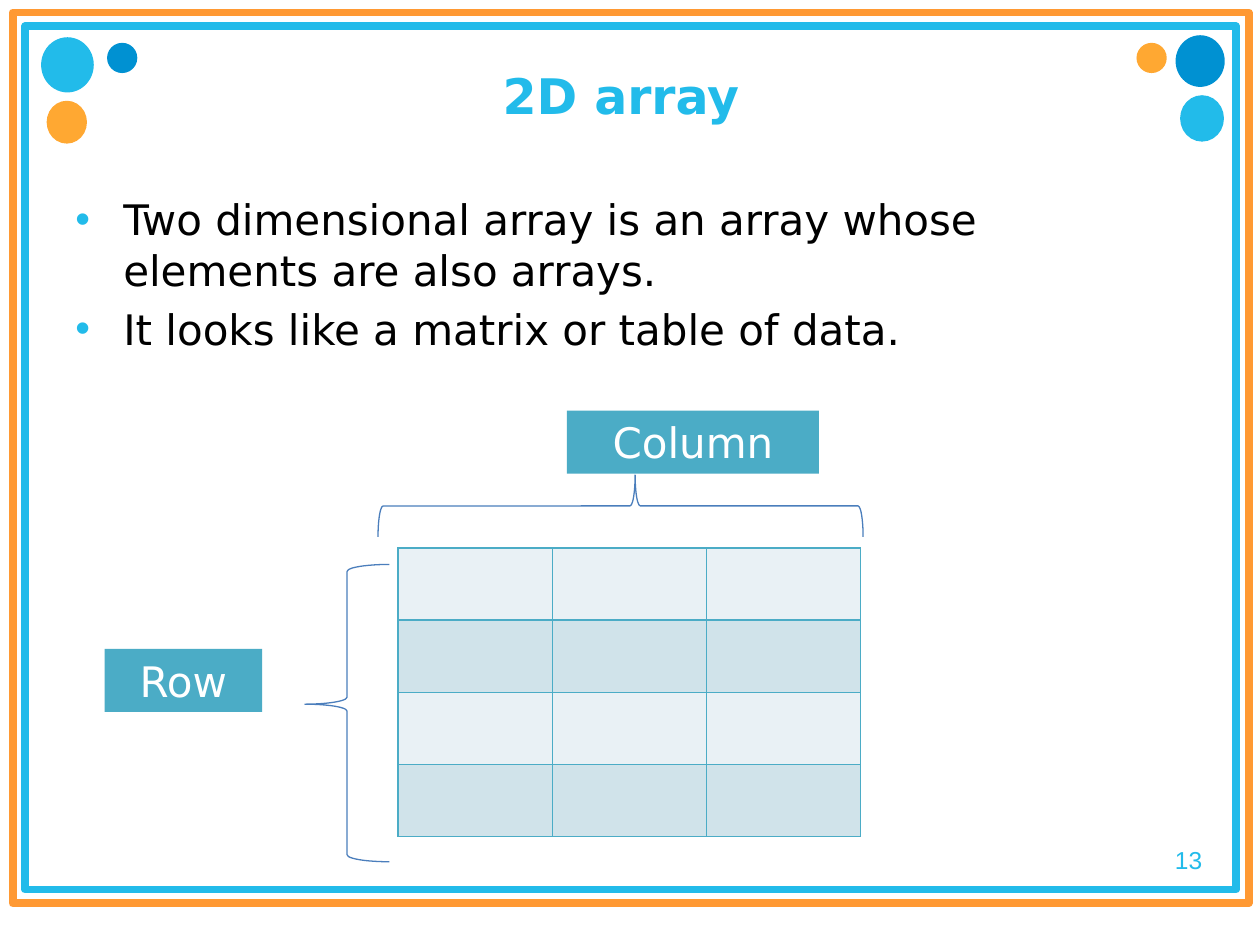
from lxml.etree import SubElement
from pptx import Presentation
from pptx.dml.color import RGBColor
from pptx.enum.shapes import MSO_SHAPE
from pptx.enum.text import MSO_ANCHOR, PP_ALIGN
from pptx.oxml import parse_xml
from pptx.oxml.ns import nsdecls, qn
from pptx.util import Inches, Pt

THEME = {
    "sky": RGBColor.from_string("22BBEA"),
    "blue": RGBColor.from_string("0091D2"),
    "frame_orange": RGBColor.from_string("FF9933"),
    "dot_orange": RGBColor.from_string("FF990F"),
    "teal": RGBColor.from_string("4BACC6"),
    "brace": RGBColor.from_string("4B7EBC"),
    "light_row": RGBColor.from_string("E9F1F5"),
    "dark_row": RGBColor.from_string("D0E3EA"),
    "white": RGBColor.from_string("FFFFFF"),
    "black": RGBColor.from_string("000000"),
    "title_size": Pt(28),
    "text_size": Pt(24),
    "number_size": Pt(14),
    "bullet_gap": Pt(4.8),
    "font": "DejaVu Sans",
    "number_font": "Arial",
}


def add_shape(shapes, kind, box, fill=None, line=None, width=0):
    shape = shapes.add_shape(kind, *map(Inches, box))
    shape.shadow.inherit = False
    if fill:
        shape.fill.solid()
        shape.fill.fore_color.rgb = THEME[fill]
    else:
        shape.fill.background()
    if line:
        shape.line.color.rgb = THEME[line]
        shape.line.width = Pt(width)
        SubElement(shape.element.spPr.find(qn("a:ln")), qn("a:round"))
    else:
        shape.line.fill.background()
    return shape


def write(paragraph, text, color, alignment, **font_format):
    paragraph.alignment = alignment
    run = paragraph.add_run()
    run.text = text
    font_values = {"name": THEME["font"], "size": THEME["text_size"], **font_format}
    for attribute, value in font_values.items():
        setattr(run.font, attribute, value)
    run.font.color.rgb = THEME[color]


presentation = Presentation()
presentation.slide_width, presentation.slide_height = Inches(10), Inches(7.5)
slide = presentation.slides.add_slide(presentation.slide_layouts[5])
shapes = slide.shapes

# Frames and corner dots
add_shape(shapes, MSO_SHAPE.RECTANGLE, (0.2, 0.21, 9.61, 6.85), "white", "sky", 4.5)
add_shape(shapes, MSO_SHAPE.RECTANGLE, (0.1, 0.1, 9.81, 7.07), None, "frame_orange", 4.5)
dots = [
    ((0.34, 0.31, 0.39, 0.41), "sky"),
    ((0.85, 0.34, 0.24, 0.24), "blue"),
    ((0.37, 0.8, 0.32, 0.34), "dot_orange"),
    ((9.33, 0.28, 0.39, 0.41), "blue"),
    ((9.38, 0.77, 0.32, 0.34), "sky"),
    ((9.02, 0.34, 0.24, 0.24), "dot_orange"),
]
for box, color in dots:
    dot = add_shape(shapes, MSO_SHAPE.OVAL, box, color, "sky" if color == "sky" else None, 2)
    if color == "dot_orange":
        fill_color = dot.element.spPr.find(f"{qn('a:solidFill')}/{qn('a:srgbClr')}")
        SubElement(fill_color, qn("a:alpha"), val="85000")

# Slide number
number = shapes.add_textbox(Inches(8.62), Inches(6.66), Inches(1.02), Inches(0.34))
number.text_frame.word_wrap = True
write(number.text_frame.paragraphs[0], "13", "sky", PP_ALIGN.RIGHT,
      name=THEME["number_font"], size=THEME["number_size"])

# Title, brought in front of the filled frame
title = shapes.title
title.element.getparent().append(title.element)
title_box = {"left": 0.5, "top": 0.24, "width": 8.99, "height": 1.03}
for attribute, value in title_box.items():
    setattr(title, attribute, Inches(value))
title.text_frame.vertical_anchor = MSO_ANCHOR.MIDDLE
write(title.text_frame.paragraphs[0], "2D array ", "sky", PP_ALIGN.CENTER,
      size=THEME["title_size"], bold=True)

# Bullets
body = shapes.add_textbox(Inches(0.5), Inches(1.49), Inches(8.99), Inches(4.28))
body.text_frame.word_wrap = True
bullets = [
    "Two dimensional array is an array whose elements are also arrays.",
    "It looks like a matrix or table of data.",
]
for index, text in enumerate(bullets):
    paragraph = body.text_frame.paragraphs[0] if index == 0 else body.text_frame.add_paragraph()
    write(paragraph, text, "black", PP_ALIGN.LEFT)
    paragraph.space_before = THEME["bullet_gap"]
    properties = paragraph._p.get_or_add_pPr()
    properties.set("marL", str(Inches(0.38)))
    properties.set("indent", str(-Inches(0.38)))
    bullet_color = SubElement(properties, qn("a:buClr"))
    SubElement(bullet_color, qn("a:srgbClr"), val=str(THEME["sky"]))
    SubElement(properties, qn("a:buFont"), typeface="Arial")
    SubElement(properties, qn("a:buChar"), char="•")

# Matrix
table = shapes.add_table(4, 3, Inches(3.16), Inches(4.35), Inches(3.67), Inches(2.29)).table
table.first_row = False
for row_index, row in enumerate(table.rows):
    for cell in row.cells:
        properties = cell._tc.get_or_add_tcPr()
        for side in ("lnL", "lnR", "lnT", "lnB"):
            properties.append(parse_xml(
                f'<a:{side} {nsdecls("a")} w="{int(Pt(1))}"><a:solidFill>'
                f'<a:srgbClr val="{THEME["teal"]}"/></a:solidFill></a:{side}>'))
        cell.fill.solid()
        cell.fill.fore_color.rgb = THEME["dark_row" if row_index % 2 else "light_row"]

# Labelled braces
labels = [
    ("Row", (0.83, 5.15, 1.25, 0.5), (2.42, 4.48, 0.67, 2.36), 0),
    ("Column", (4.5, 3.26, 2, 0.5), (4.68, 2.09, 0.49, 3.85), 90),
]
for text, label_box, brace_box, rotation in labels:
    group = shapes.add_group_shape()
    brace = add_shape(group.shapes, MSO_SHAPE.LEFT_BRACE, brace_box, None, "brace", 0.75)
    brace.rotation = rotation
    brace.adjustments[0], brace.adjustments[1] = 0.083, 0.47
    label = add_shape(group.shapes, MSO_SHAPE.RECTANGLE, label_box, "teal")
    label.text_frame.vertical_anchor = MSO_ANCHOR.TOP
    write(label.text_frame.paragraphs[0], text, "white", PP_ALIGN.CENTER)

presentation.save("out.pptx")
